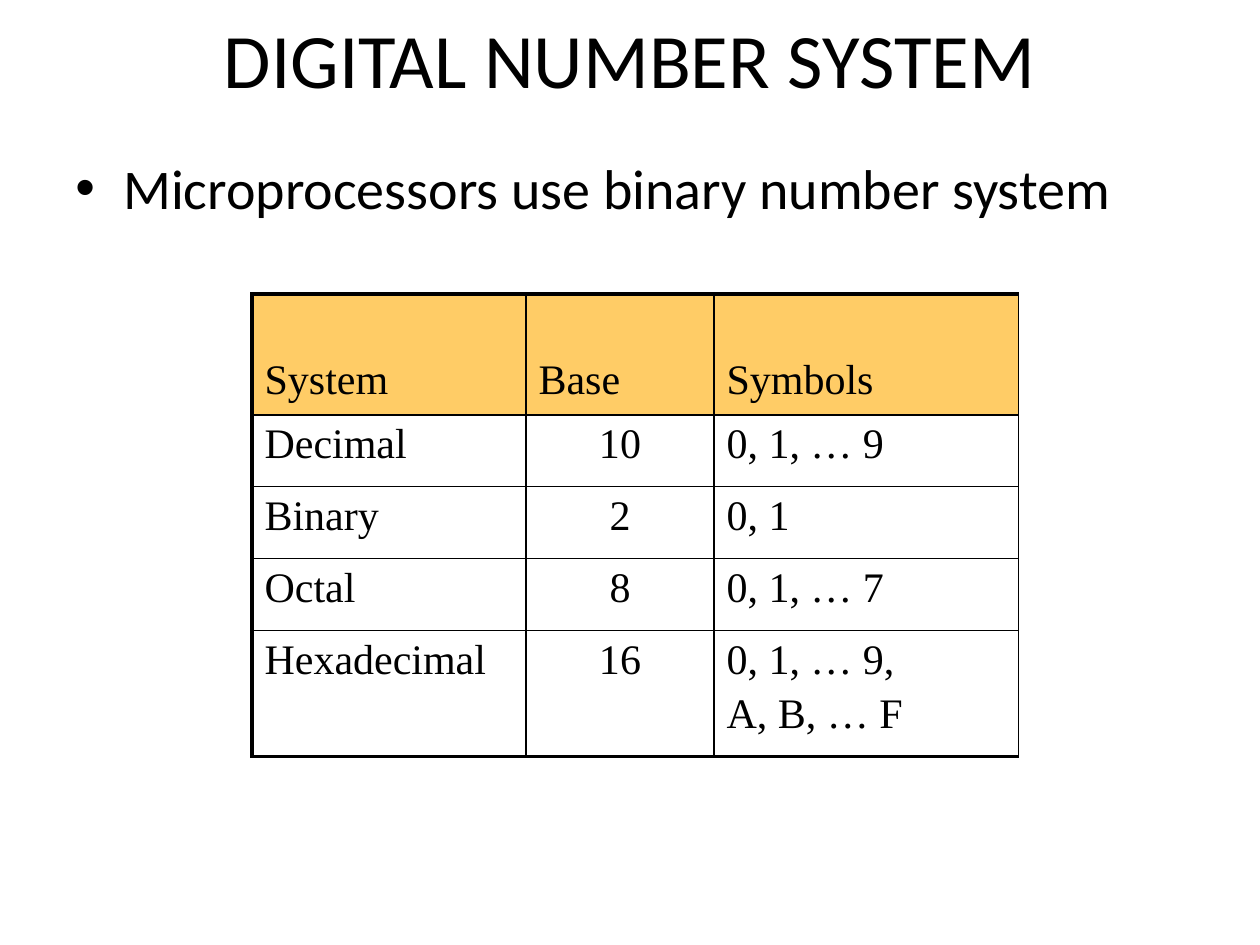
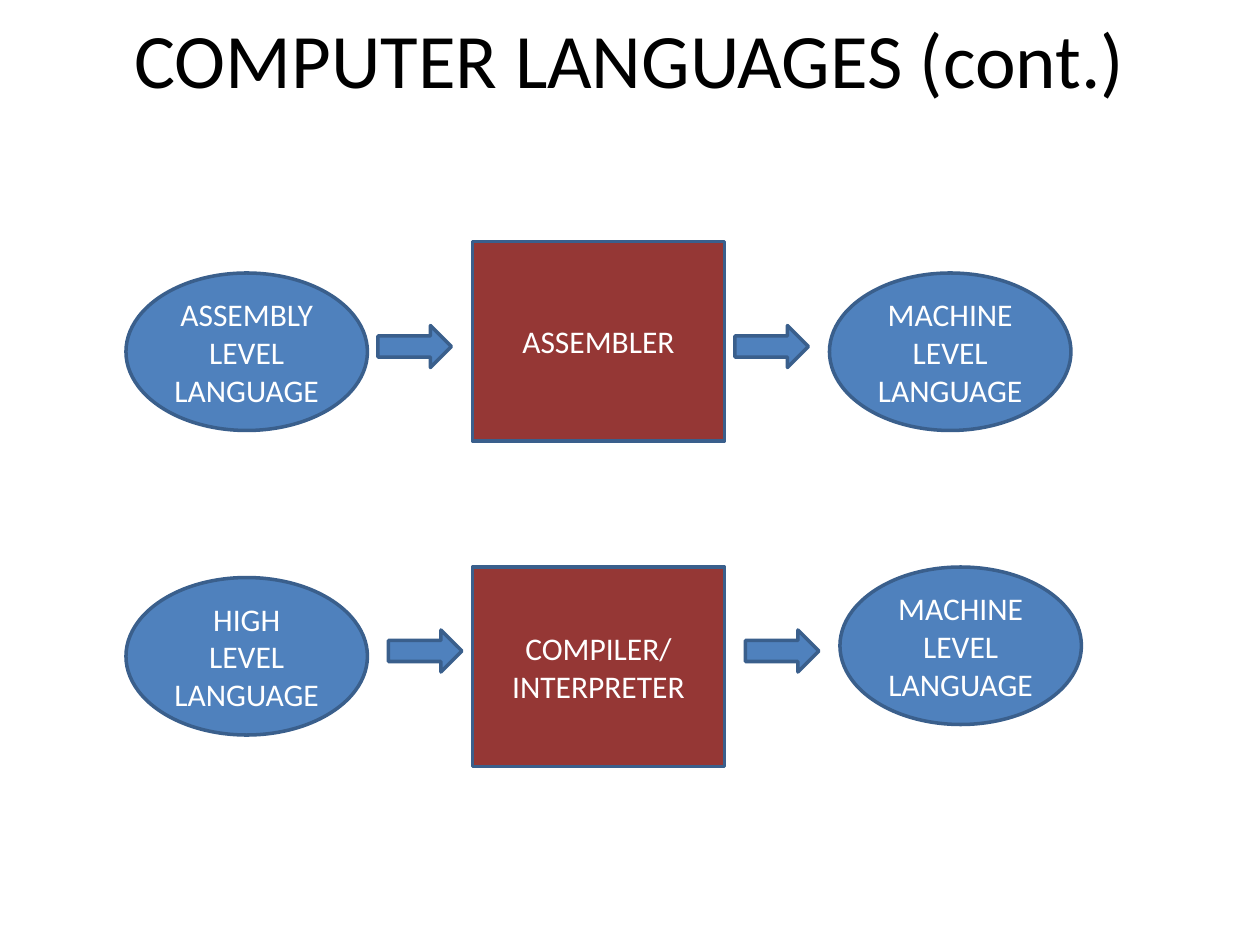
from typing import NamedTuple

from lxml import etree
from pptx import Presentation
from pptx import util as u
from pptx.dml.color import RGBColor
from pptx.enum import shapes, text
from pptx.oxml import ns

SLIDE_WIDTH, SLIDE_HEIGHT = u.Inches(10), u.Inches(7.5)
GRID_COLUMNS = 120
UNIT = SLIDE_WIDTH / GRID_COLUMNS  # square grid, 120 columns by 90 rows

BLACK, WHITE = "000000", "FFFFFF"
BLUE, RED, OUTLINE, HEADER_FILL = "4F81BD", "953735", "3A5F8C", "FFCC66"
SANS, SERIF = "Calibri", "Times New Roman"
CENTER = text.PP_ALIGN.CENTER
MIDDLE = text.MSO_ANCHOR.MIDDLE
THIN, THICK = 1, 2.25


class Box(NamedTuple):
    """Place and size in grid units."""
    left: float
    top: float
    width: float
    height: float


class ShapeStyle(NamedTuple):
    preset: shapes.MSO_SHAPE
    width: float
    height: float
    fill: str


class Flow(NamedTuple):
    """One translation row: source language, translator, result."""
    labels: tuple[str, str, str]
    lefts: tuple[float, float, float]
    tops: tuple[float, float, float]
    arrow_lefts: tuple[float, float]
    arrow_top: float


TITLE_BOX = Box(6, 0, 108, 11)
BULLET_BOX = Box(6, 14, 108, 9)

TABLE_LEFT, TABLE_TOP = 24, 28
COLUMN_WIDTHS = (26.1, 17.9, 29)
ROW_HEIGHTS = (11.5, 6.85, 6.85, 6.85, 12)
NUMBER_SYSTEMS = (
    ("System", "Base", "Symbols"),
    ("Decimal", "10", "0, 1, … 9"),
    ("Binary", "2", "0, 1"),
    ("Octal", "8", "0, 1, … 7"),
    ("Hexadecimal", "16", "0, 1, … 9,\nA, B, … F"),
)

LANGUAGE = ShapeStyle(shapes.MSO_SHAPE.OVAL, 23, 15, BLUE)
TRANSLATOR = ShapeStyle(shapes.MSO_SHAPE.RECTANGLE, 24, 19, RED)
ARROW = ShapeStyle(shapes.MSO_SHAPE.RIGHT_ARROW, 7, 4, BLUE)
FLOW_STYLES = (LANGUAGE, TRANSLATOR, LANGUAGE)
FLOWS = (
    Flow(("ASSEMBLY LEVEL LANGUAGE", "ASSEMBLER", "MACHINE LEVEL LANGUAGE"),
         (12, 45, 79), (26, 23, 26), (36, 70), 31),
    Flow(("HIGH LEVEL LANGUAGE", "COMPILER/ INTERPRETER", "MACHINE LEVEL LANGUAGE"),
         (12, 45, 80), (55, 54, 54), (37, 71), 60),
)


def color(value: str) -> RGBColor:
    return RGBColor.from_string(value)


def grid(units: float) -> int:
    return round(units * UNIT)


def place(box: Box) -> tuple[int, ...]:
    return tuple(grid(length) for length in box)


def format_paragraph(paragraph, size: float, font: str, ink: str, align=None) -> None:
    paragraph.alignment = align
    paragraph.font.size = u.Pt(size)
    paragraph.font.name = font
    paragraph.font.color.rgb = color(ink)


def add_titled_slide(presentation, title: str):
    slide = presentation.slides.add_slide(presentation.slide_layouts[5])
    shape = slide.shapes.title
    shape.left, shape.top, shape.width, shape.height = place(TITLE_BOX)
    frame = shape.text_frame
    frame.text = title
    frame.auto_size = text.MSO_AUTO_SIZE.NONE
    frame.vertical_anchor = MIDDLE
    format_paragraph(frame.paragraphs[0], 44, SANS, BLACK, CENTER)
    return slide


def add_bullet(slide, words: str) -> None:
    frame = slide.shapes.add_textbox(*place(BULLET_BOX)).text_frame
    frame.word_wrap = True
    frame.text = words
    paragraph = frame.paragraphs[0]
    format_paragraph(paragraph, 32, SANS, BLACK)
    paragraph.space_before = u.Pt(6.4)
    properties = paragraph._p.get_or_add_pPr()
    indent = u.Inches(0.38)
    properties.set("marL", str(indent))
    properties.set("indent", str(-indent))
    bullet_font = etree.Element(ns.qn("a:buFont"), typeface="Arial")
    bullet = etree.Element(ns.qn("a:buChar"), char="•")
    properties.insert_element_before(bullet_font, "a:buChar", "a:defRPr")
    properties.insert_element_before(bullet, "a:defRPr")


def set_borders(cell, **widths: float) -> None:
    """Draw black cell borders; the keywords are L, R, T and B, in that order."""
    properties = cell._tc.get_or_add_tcPr()
    for index, (side, width) in enumerate(widths.items()):
        line = etree.Element(ns.qn(f"a:ln{side}"), w=str(u.Pt(width)))
        fill = etree.SubElement(line, ns.qn("a:solidFill"))
        etree.SubElement(fill, ns.qn("a:srgbClr"), val=BLACK)
        properties.insert(index, line)


def add_number_table(slide) -> None:
    box = Box(TABLE_LEFT, TABLE_TOP, sum(COLUMN_WIDTHS), sum(ROW_HEIGHTS))
    table = slide.shapes.add_table(
        len(ROW_HEIGHTS), len(COLUMN_WIDTHS), *place(box)).table
    table.first_row = table.horz_banding = False
    for column, width in zip(table.columns, COLUMN_WIDTHS):
        column.width = grid(width)
    last_row = len(ROW_HEIGHTS) - 1
    for row, values in enumerate(NUMBER_SYSTEMS):
        table.rows[row].height = grid(ROW_HEIGHTS[row])
        is_header = row == 0
        for column, value in enumerate(values):
            cell = table.cell(row, column)
            cell.text = value
            if is_header:
                cell.fill.solid()
                cell.fill.fore_color.rgb = color(HEADER_FILL)
                cell.vertical_anchor = text.MSO_ANCHOR.BOTTOM
                cell.margin_bottom = u.Inches(0.09)
            else:
                cell.fill.background()
            align = CENTER if column == 1 and not is_header else None
            for paragraph in cell.text_frame.paragraphs:
                format_paragraph(paragraph, 24, SERIF, BLACK, align)
                paragraph.space_before = u.Pt(4.8)
            set_borders(cell,
                        L=THICK if column == 0 else THIN,
                        R=THIN,
                        T=THICK if is_header else THIN,
                        B=THICK if row == last_row else THIN)


def add_flow_shape(slide, style: ShapeStyle, left: float, top: float,
                   label: str = "") -> None:
    box = Box(left, top, style.width, style.height)
    shape = slide.shapes.add_shape(style.preset, *place(box))
    shape.shadow.inherit = False
    shape.fill.solid()
    shape.fill.fore_color.rgb = color(style.fill)
    shape.line.color.rgb = color(OUTLINE)
    shape.line.width = u.Pt(2)
    if label:
        frame = shape.text_frame
        frame.word_wrap = True
        frame.vertical_anchor = MIDDLE
        frame.text = label
        format_paragraph(frame.paragraphs[0], 18, SANS, WHITE, CENTER)


def add_flow(slide, flow: Flow) -> None:
    for style, left, top, label in zip(FLOW_STYLES, flow.lefts, flow.tops, flow.labels):
        add_flow_shape(slide, style, left, top, label)
    for left in flow.arrow_lefts:
        add_flow_shape(slide, ARROW, left, flow.arrow_top)


def main() -> None:
    presentation = Presentation()
    presentation.slide_width, presentation.slide_height = SLIDE_WIDTH, SLIDE_HEIGHT

    slide = add_titled_slide(presentation, "DIGITAL NUMBER SYSTEM")
    add_bullet(slide, "Microprocessors use binary number system")
    add_number_table(slide)

    slide = add_titled_slide(presentation, "COMPUTER LANGUAGES (cont.)")
    for flow in FLOWS:
        add_flow(slide, flow)

    presentation.save("out.pptx")


if __name__ == "__main__":
    main()
